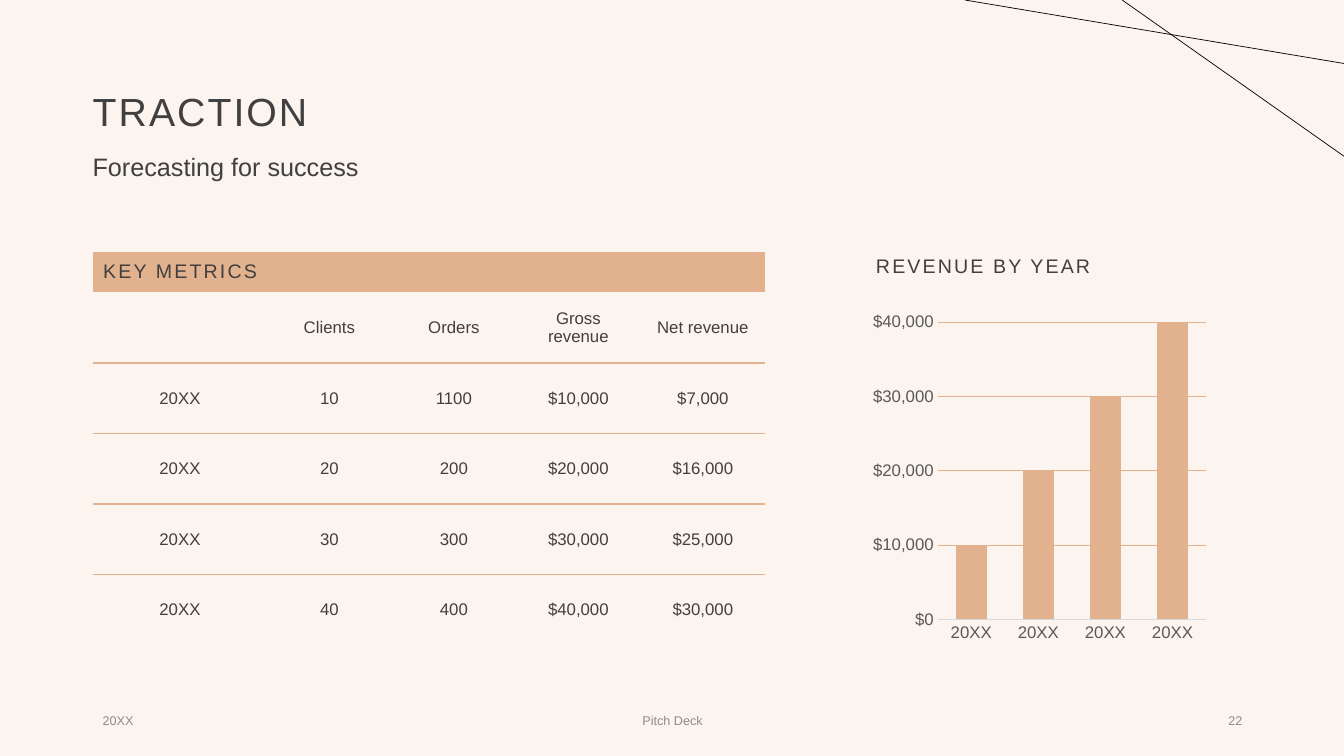
from dataclasses import dataclass

from lxml.etree import SubElement
from pptx import Presentation
from pptx.chart.data import CategoryChartData
from pptx.dml.color import RGBColor
from pptx.enum.chart import XL_CHART_TYPE as ChartType, XL_TICK_MARK as TickMark
from pptx.enum.text import MSO_ANCHOR as Anchor, PP_ALIGN as Align
from pptx.oxml import parse_xml
from pptx.oxml.ns import nsdecls, qn
from pptx.util import Inches, Pt


@dataclass(frozen=True)
class Theme:
    font: str = "Arial"
    background: RGBColor = RGBColor(0xFB, 0xF4, 0xEF)
    text: RGBColor = RGBColor(0x40, 0x40, 0x40)
    muted: RGBColor = RGBColor(0x8C, 0x8C, 0x8C)
    accent: RGBColor = RGBColor(0xE2, 0xB1, 0x8D)
    axis_text: RGBColor = RGBColor(0x59, 0x59, 0x59)
    axis_line: RGBColor = RGBColor(0xD9, 0xD9, 0xD9)
    line: RGBColor = RGBColor(0, 0, 0)
    title_size: Pt = Pt(28)
    subtitle_size: Pt = Pt(18)
    heading_size: Pt = Pt(14)
    body_size: Pt = Pt(12)
    footer_size: Pt = Pt(9)


theme = Theme()


def write(text_frame, text, size, color=theme.text, align=Align.LEFT, spaced=False):
    text_frame.text = text
    paragraph = text_frame.paragraphs[0]
    paragraph.alignment = align
    for run in paragraph.runs:
        run.font.name = theme.font
        run.font.size = size
        run.font.color.rgb = color
        if spaced:
            run.font._element.set("spc", "150")
    return paragraph


def add_text(box, text, size, anchor=Anchor.TOP, **style):
    text_frame = slide.shapes.add_textbox(*map(Inches, box)).text_frame
    text_frame.word_wrap = True
    text_frame.vertical_anchor = anchor
    return text_frame, write(text_frame, text, size, **style)


presentation = Presentation()
presentation.slide_width = Inches(13.33)
presentation.slide_height = Inches(7.5)
slide = presentation.slides.add_slide(presentation.slide_layouts[6])
slide.background.fill.solid()
slide.background.fill.fore_color.rgb = theme.background

# Title and subtitle
title_frame, title = add_text((0.92, 0.4, 11.5, 1.45), "TRACTION", theme.title_size,
                              Anchor.MIDDLE, spaced=True)
title_frame.margin_left = 0
title.line_spacing = 0.9
_, subtitle = add_text((0.82, 1.49, 7.4, 0.54), "Forecasting for success",
                       theme.subtitle_size)

# Key metrics table
metrics = [
    ("KEY METRICS", "", "", "", ""),
    ("", "Clients", "Orders", "Gross revenue", "Net revenue"),
    ("20XX", "10", "1100", "$10,000", "$7,000"),
    ("20XX", "20", "200", "$20,000", "$16,000"),
    ("20XX", "30", "300", "$30,000", "$25,000"),
    ("20XX", "40", "400", "$40,000", "$30,000"),
]
column_widths = [1.73] + [1.235] * 4
row_heights = [0.34] + [0.7] * 5
table = slide.shapes.add_table(
    len(metrics), len(column_widths), Inches(0.92), Inches(2.5),
    Inches(sum(column_widths)), Inches(sum(row_heights))).table
table.horz_banding = False
# "No Style, No Grid"
table._tbl.tblPr.find(qn("a:tableStyleId")).text = "{2D5ABB26-0587-4C30-8999-92F81FD0307C}"
for column, width in zip(table.columns, column_widths):
    column.width = Inches(width)
for row, height in zip(table.rows, row_heights):
    row.height = Inches(height)

last_row = len(metrics) - 1
for row_index, values in enumerate(metrics):
    is_header = row_index == 0
    for column_index, value in enumerate(values):
        cell = table.cell(row_index, column_index)
        cell.vertical_anchor = Anchor.MIDDLE
        write(cell.text_frame, value,
              theme.heading_size if is_header else theme.body_size,
              align=Align.RIGHT if is_header else Align.CENTER, spaced=is_header)
        if is_header:
            cell.fill.solid()
            cell.fill.fore_color.rgb = theme.accent
            continue
        cell.fill.background()
        if row_index < last_row:
            # Borders come before the fill in the cell properties
            cell._tc.get_or_add_tcPr().insert(0, parse_xml(
                f'<a:lnB {nsdecls("a")} w="{Pt(1)}"><a:solidFill>'
                f'<a:srgbClr val="{theme.accent}"/></a:solidFill></a:lnB>'))

# Revenue chart
_, chart_heading = add_text((8.59, 2.5, 3.44, 0.34), "REVENUE BY YEAR",
                            theme.heading_size, spaced=True)
for paragraph in (subtitle, chart_heading):
    paragraph.line_spacing = 0.9
    paragraph.space_before = Pt(10)

chart_data = CategoryChartData()
chart_data.categories = ["20XX"] * 4
chart_data.add_series("Series 1", (10000, 20000, 30000, 40000))
chart = slide.shapes.add_chart(
    ChartType.COLUMN_CLUSTERED, Inches(8.59), Inches(3.04),
    Inches(3.44), Inches(3.39), chart_data).chart
chart.has_title = False
chart.has_legend = False
chart.font.name = theme.font
chart.font.size = theme.body_size
chart.font.color.rgb = theme.axis_text

plot = chart.plots[0]
plot.vary_by_categories = False
plot.gap_width = 118
plot.overlap = -3
bars = plot.series[0].format.fill
bars.solid()
bars.fore_color.rgb = theme.accent

category_axis, value_axis = chart.category_axis, chart.value_axis
for axis in (category_axis, value_axis):
    axis.major_tick_mark = axis.minor_tick_mark = TickMark.NONE
category_axis.format.line.color.rgb = theme.axis_line
category_axis.format.line.width = Pt(0.75)
value_axis.minimum_scale = 0
value_axis.maximum_scale = 40000
value_axis.major_unit = 10000
value_axis.format.line.fill.background()
value_axis.major_gridlines.format.line.color.rgb = theme.accent
value_axis.major_gridlines.format.line.width = Pt(0.75)
value_axis.tick_labels.number_format = "[$$-409]#,##0"
value_axis.tick_labels.number_format_is_linked = False

# Footer
for left, width, text, align in [
    (0.92, 3, "20XX", Align.LEFT),
    (4.42, 4.5, "Pitch Deck", Align.CENTER),
    (9.42, 3, "22", Align.RIGHT),
]:
    add_text((left, 6.95, width, 0.4), text, theme.footer_size, Anchor.MIDDLE,
             color=theme.muted, align=align)

# Corner lines
for start_x, end_y in [(11.13, 1.55), (9.57, 0.63)]:
    connector = slide.shapes.add_connector(
        1, Inches(start_x), 0, presentation.slide_width, Inches(end_y))
    connector.line.color.rgb = theme.line
    connector.line.width = Pt(0.5)
    SubElement(connector._element.spPr, qn("a:effectLst"))

presentation.save("out.pptx")
